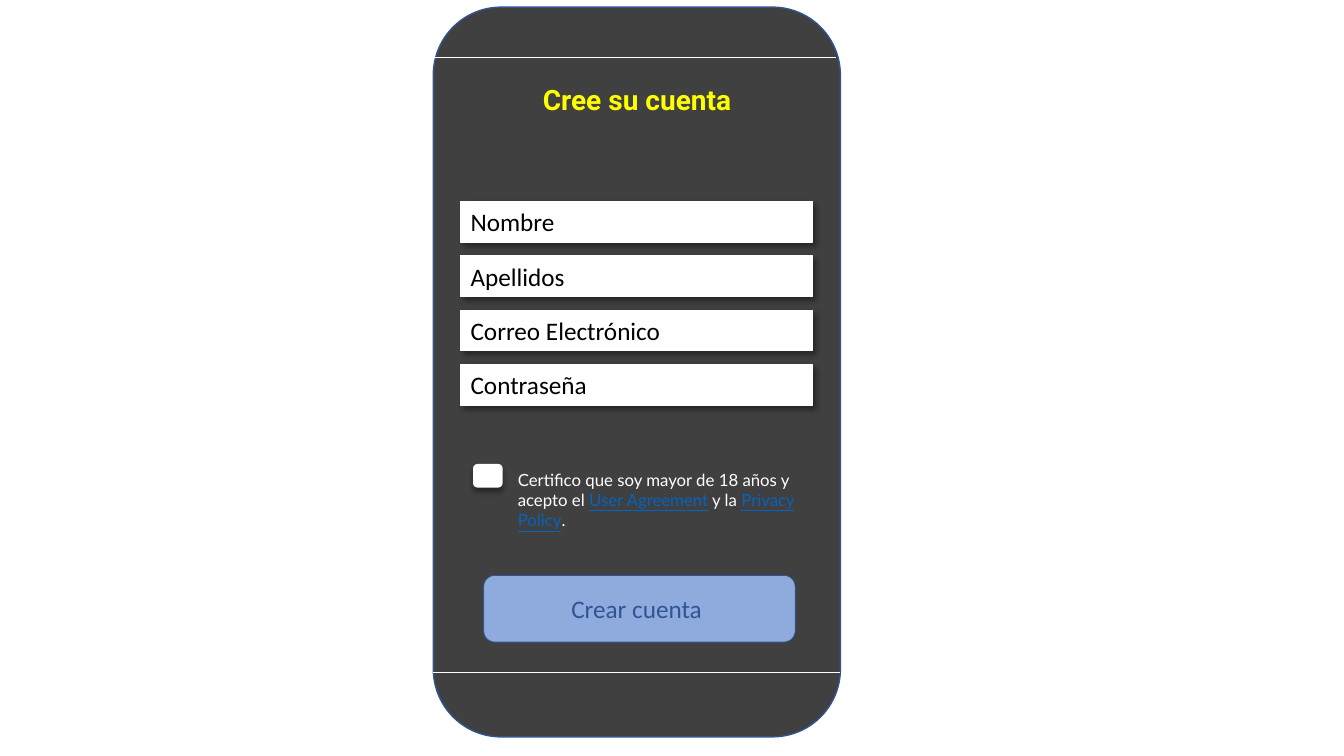
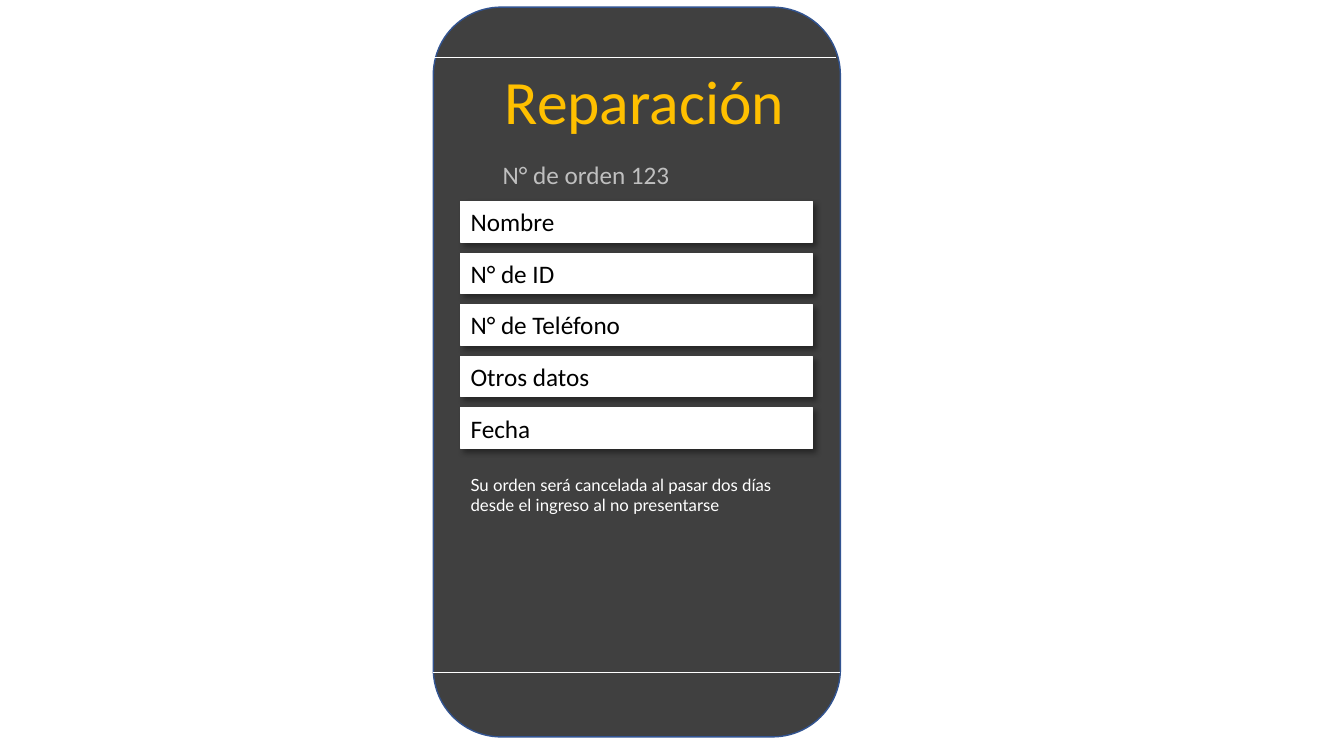
from pptx import Presentation
from pptx.dml.color import RGBColor
from pptx.enum.shapes import MSO_CONNECTOR, MSO_SHAPE
from pptx.enum.text import MSO_ANCHOR, MSO_AUTO_SIZE, PP_ALIGN
from pptx.oxml import parse_xml
from pptx.oxml.ns import nsdecls, qn
from pptx.util import Cm, Pt

COLORS = {
    "phone": "404040", "phone_edge": "325491", "white": "FFFFFF",
    "black": "000000", "yellow": "FFFF00", "gold": "FFC000",
    "grey": "BFBFBF", "link": "0563C1", "button": "8FAADC",
    "button_edge": "2F5597",
}
FIELD_LEFT, FIELD_TOP, FIELD_WIDTH, FIELD_HEIGHT = 11.61, 5.08, 8.86, 1.02


def color(name):
    return RGBColor.from_string(COLORS[name])


def write(frame, text, size=18, font="Calibri", ink="black", bold=False,
          align=PP_ALIGN.LEFT, anchor=MSO_ANCHOR.TOP, wrap=True,
          grow=True):
    """Fill a frame with one paragraph; text is a string or (text, is_link) runs."""
    frame.word_wrap = wrap
    frame.auto_size = MSO_AUTO_SIZE.SHAPE_TO_FIT_TEXT if grow else MSO_AUTO_SIZE.NONE
    frame.vertical_anchor = anchor
    paragraph = frame.paragraphs[0]
    paragraph.alignment = align
    for words, is_link in [(text, False)] if isinstance(text, str) else text:
        run = paragraph.add_run()
        run.text = words
        run.font.name, run.font.size, run.font.bold = font, Pt(size), bold
        run.font.underline = is_link
        run.font.color.rgb = color("link" if is_link else ink)


class PhoneScreen:
    """One slide showing a phone, with a title on its screen."""

    def __init__(self, deck):
        self.slide = deck.slides.add_slide(deck.slide_layouts[5])
        self.shapes = self.slide.shapes
        # Phone body and the two edges of its screen
        self.box(10.92, 0.18, 10.26, 18.39, fill="phone", edge="phone_edge")
        self.rule(10.92, 21.18, 16.94)
        self.rule(10.77, 21.06, 1.45)

    def title(self, text, left, top, width, height, **style):
        title = self.shapes.title
        title.left, title.top = Cm(left), Cm(top)
        title.width, title.height = Cm(width), Cm(height)
        write(title.text_frame, text, align=PP_ALIGN.CENTER, **style)
        # Bring the title in front of the phone body
        title.element.getparent().append(title.element)

    def box(self, left, top, width, height, fill="white", edge="white",
            weight=1, kind=MSO_SHAPE.ROUNDED_RECTANGLE, shadow_angle=None):
        box = self.shapes.add_shape(kind, Cm(left), Cm(top), Cm(width), Cm(height))
        box.fill.solid()
        box.fill.fore_color.rgb = color(fill)
        box.line.color.rgb = color(edge)
        box.line.width = Pt(weight)
        box.shadow.inherit = False
        if shadow_angle is not None:
            effects = box.element.spPr.find(qn("a:effectLst"))
            effects.append(parse_xml(
                f'<a:outerShdw {nsdecls("a")} blurRad="{Pt(4)}" dist="{Pt(3)}" '
                f'dir="{shadow_angle * 60000}" algn="tl" rotWithShape="0">'
                f'<a:srgbClr val="{COLORS["black"]}"><a:alpha val="40000"/>'
                '</a:srgbClr></a:outerShdw>'))
        return box

    def rule(self, start, end, top):
        rule = self.shapes.add_connector(
            MSO_CONNECTOR.STRAIGHT, Cm(start), Cm(top), Cm(end), Cm(top))
        rule.line.color.rgb = color("white")
        rule.line.width = Pt(0.5)
        rule.element.spPr.append(parse_xml(f'<a:effectLst {nsdecls("a")}/>'))

    def label(self, text, left, top, width, height, **style):
        label = self.shapes.add_textbox(Cm(left), Cm(top), Cm(width), Cm(height))
        write(label.text_frame, text, **style)

    def fields(self, names, pitch):
        for row, name in enumerate(names):
            field = self.box(FIELD_LEFT, FIELD_TOP + row * pitch, FIELD_WIDTH,
                             FIELD_HEIGHT, weight=0.75,
                             kind=MSO_SHAPE.RECTANGLE, shadow_angle=45)
            write(field.text_frame, name)

    def button(self, text, left, top, width, height):
        button = self.box(left, top, width, height, fill="button",
                          edge="button_edge", weight=0.5)
        write(button.text_frame, text, ink="button_edge", align=PP_ALIGN.CENTER,
              anchor=MSO_ANCHOR.MIDDLE, grow=False)


deck = Presentation()
deck.slide_width, deck.slide_height = Cm(33.87), Cm(19.05)
small_print = dict(size=12, font="Lato", ink="white")

# Account sign-up
signup = PhoneScreen(deck)
signup.title("Cree su cuenta", 13.21, 1.96, 5.69, 1.12,
             size=20, font="Roboto", ink="yellow", bold=True)
signup.fields(["Nombre", "Apellidos", "Correo Electrónico", "Contraseña"], pitch=1.37)
signup.box(11.94, 11.71, 0.71, 0.56, shadow_angle=90)
agreement = [
    ("Certifico que soy mayor de 18 años y acepto el\u00a0", False),
    ("User Agreement", True),
    ("\u00a0y la\u00a0", False),
    ("Privacy Policy", True),
    (".", False),
]
signup.label(agreement, 12.8, 11.71, 8.26, 1.27, **small_print)
signup.button("Crear cuenta ", 12.19, 14.5, 7.85, 1.68)

# Repair order
repair = PhoneScreen(deck)
repair.title("Reparación", 12.42, 1.45, 7.65, 2.13, size=44, ink="gold", wrap=False)
repair.label("N° de orden 123", 12.42, 3.89, 5.64, 1.02, ink="grey")
repair.fields(["Nombre", "N° de ID", "N° de Teléfono", "Otros datos", "Fecha"], pitch=1.3)
repair.label("Su orden será cancelada al pasar dos días desde el ingreso al no presentarse ",
             FIELD_LEFT, 11.84, FIELD_WIDTH, 1.27, **small_print)

deck.save("out.pptx")
